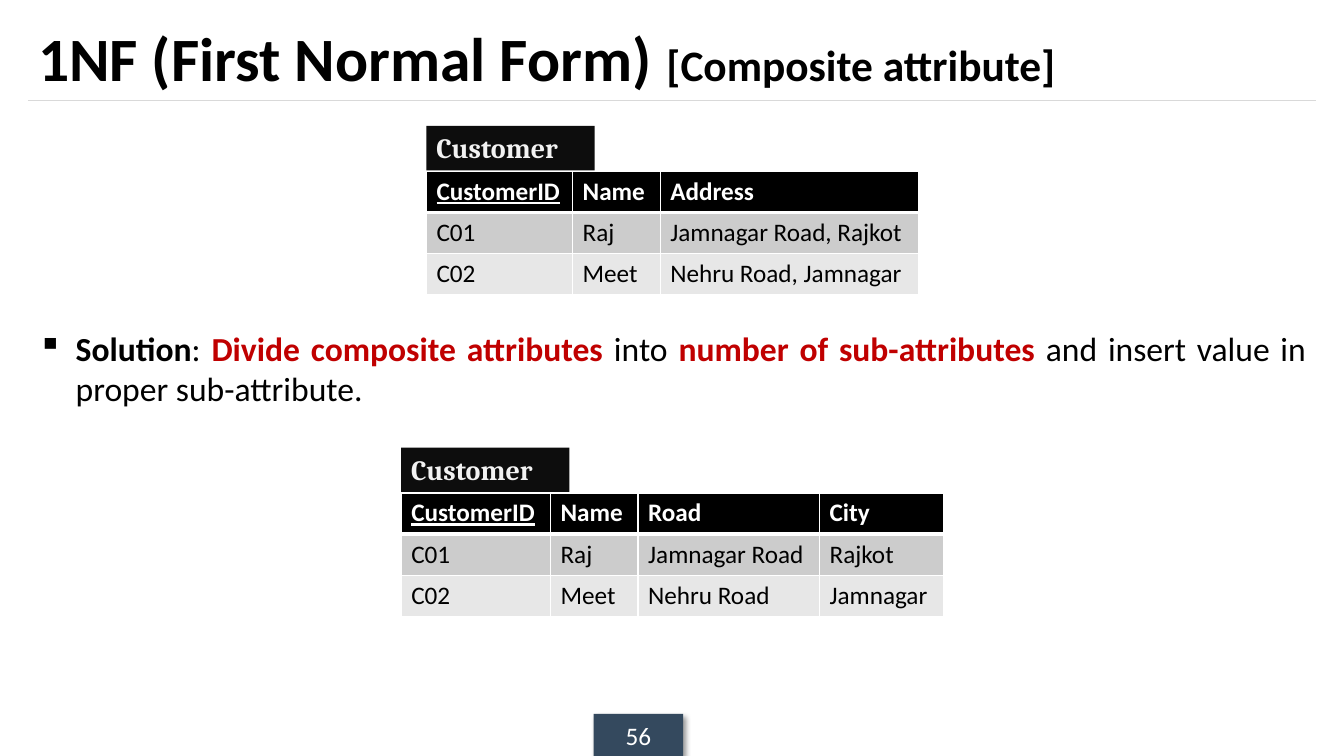
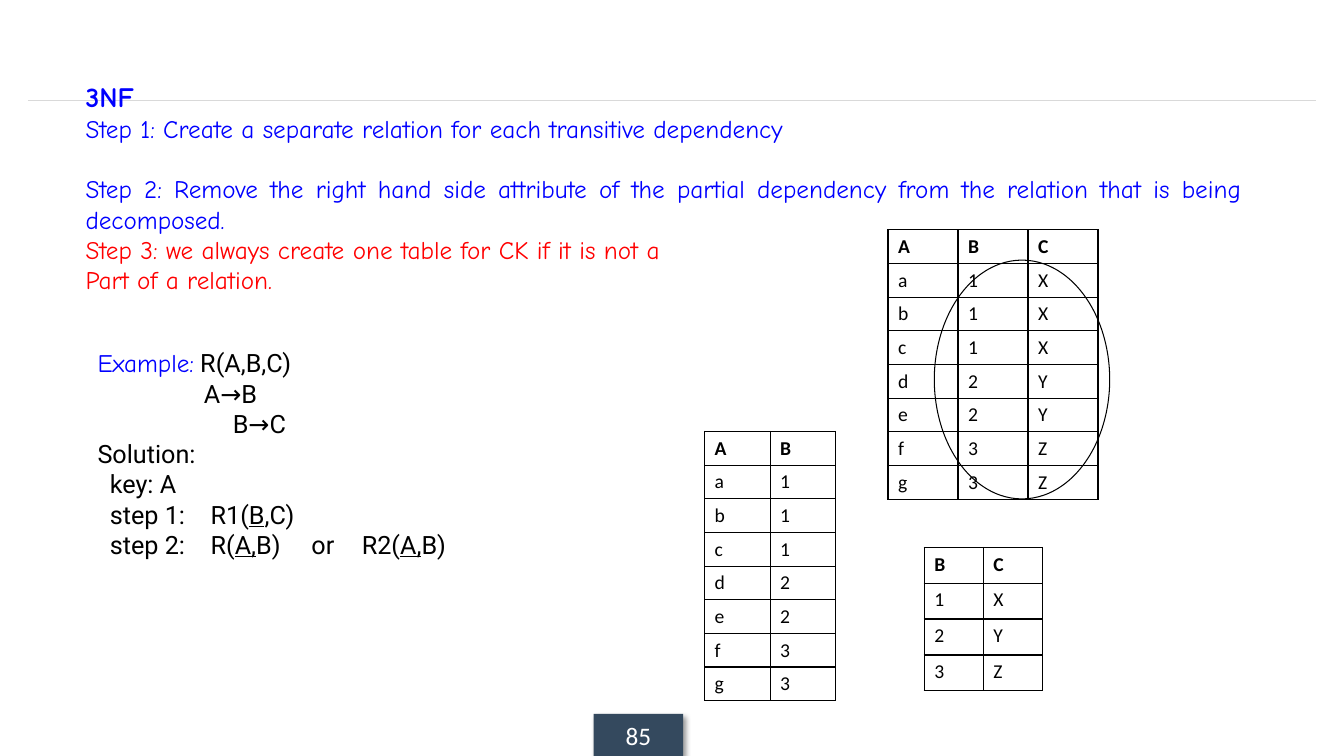
"""Build two slides on the first and third normal forms."""
import pptx
import pptx.dml.color
import pptx.enum.shapes
import pptx.enum.text
import pptx.oxml
import pptx.oxml.ns
import pptx.util
from lxml import etree

Pt = pptx.util.Pt
qn = pptx.oxml.ns.qn
ALIGN = pptx.enum.text.PP_ALIGN
ANCHOR = pptx.enum.text.MSO_ANCHOR
SHAPE = pptx.enum.shapes.MSO_SHAPE
COLORS = {
    "black": "000000", "white": "FFFFFF", "rule": "D9D9D9", "badge": "34495E",
    "label": "0D0D0D", "label text": "F2F2F2", "accent": "C00000",
    "blue": "0000FF", "red": "FF0000", "row odd": "CCCCCC", "row even": "E7E7E7",
}


def rgb(color):
    return pptx.dml.color.RGBColor.from_string(COLORS[color])


def add_element(parent, tag, **attributes):
    values = {key: str(value) for key, value in attributes.items()}
    return etree.SubElement(parent, qn(tab_safe(tag)), values)


def tab_safe(tag):
    return tag if ":" in tag else f"a:{tag}"


class Deck:
    def __init__(self):
        self.deck = pptx.Presentation()
        self.deck.slide_width, self.deck.slide_height = Pt(960), Pt(540)
        self.slide = None

    def start(self, number, title=None):
        layout = self.deck.slide_layouts[5 if title else 6]
        self.slide = self.deck.slides.add_slide(layout)
        self.rule()
        self.badge(number)
        if title:
            heading = self.slide.shapes.title
            heading.left, heading.top = Pt(20), Pt(8.6)
            heading.width, heading.height = Pt(920), Pt(63.4)
            frame = heading.text_frame
            frame.vertical_anchor = ANCHOR.MIDDLE
            frame.auto_size = pptx.enum.text.MSO_AUTO_SIZE.NONE
            self.add_runs(frame.paragraphs[0], title, bold=True)

    def add_runs(self, paragraph, runs, align=ALIGN.LEFT, **base):
        paragraph.alignment = align
        for text, style in runs:
            look = {"size": 18, "font": "Calibri", "color": "black",
                    "bold": False, "underline": False} | base | style
            run = paragraph.add_run()
            run.text = text
            run.font.size = Pt(look["size"])
            run.font.name = look["font"]
            run.font.bold = look["bold"]
            run.font.underline = look["underline"]
            run.font.color.rgb = rgb(look["color"])

    def rule(self):
        line = self.slide.shapes.add_connector(
            pptx.enum.shapes.MSO_CONNECTOR.STRAIGHT, Pt(20), Pt(72), Pt(940), Pt(72))
        line.line.color.rgb = rgb("rule")
        line.line.width = Pt(0.75)
        add_element(line._element.spPr, "a:effectLst")

    def shape(self, kind, box, fill=None, outline=None):
        shape = self.slide.shapes.add_shape(kind, *map(Pt, box))
        shape.shadow.inherit = False
        if fill:
            shape.fill.solid()
            shape.fill.fore_color.rgb = rgb(fill)
        else:
            shape.fill.background()
        if outline:
            shape.line.color.rgb = rgb(outline)
            shape.line.width = Pt(0.75)
        else:
            shape.line.fill.background()
        return shape

    def badge(self, number):
        badge = self.shape(SHAPE.RECTANGLE, (424, 510, 64, 30), "badge")
        shadow = add_element(
            badge._element.spPr.find(qn("a:effectLst")), "a:outerShdw",
            blurRad=Pt(4), dist=Pt(3), dir=45 * 60000, algn="tl", rotWithShape=0)
        tint = add_element(shadow, "a:srgbClr", val=COLORS["black"])
        add_element(tint, "a:alpha", val=40000)
        self.add_runs(badge.text_frame.paragraphs[0], [(number, {})],
                      ALIGN.CENTER, color="white")

    def text(self, box, paragraphs, **base):
        frame = self.slide.shapes.add_textbox(*map(Pt, box)).text_frame
        frame.word_wrap = True
        for index, (runs, layout) in enumerate(paragraphs):
            paragraph = frame.add_paragraph() if index else frame.paragraphs[0]
            if "before" in layout:
                paragraph.space_before = Pt(layout["before"])
            properties = paragraph._p.get_or_add_pPr()
            properties.set("marL", str(Pt(layout.get("indent", 0))))
            properties.set("indent", str(Pt(layout.get("hanging", 0))))
            if "bullet" in layout:
                add_element(properties, "a:buChar", char=layout["bullet"])
            if "tabs" in layout:
                stops = add_element(properties, "a:tabLst")
                for stop in layout["tabs"]:
                    add_element(stops, "a:tab", pos=Pt(stop), algn="l")
            self.add_runs(paragraph, runs, ALIGN.JUSTIFY, **base)

    def border(self, cell, color, bottom):
        properties = cell._tc.get_or_add_tcPr()
        for index, side in enumerate("LRTB"):
            width = Pt(bottom if side == "B" else 1)
            line = add_element(properties, f"a:ln{side}", w=width)
            fill = add_element(line, "a:solidFill")
            add_element(fill, "a:srgbClr", val=COLORS[color])
            properties.insert(index, line)

    def table(self, left, top, widths, row_height, rows, size=14, banded=False):
        grid = self.slide.shapes.add_table(
            len(rows), len(widths), Pt(left), Pt(top),
            Pt(sum(widths)), Pt(row_height * len(rows))).table
        grid.horz_banding = False
        for column, width in zip(grid.columns, widths):
            column.width = Pt(width)
        for r, values in enumerate(rows):
            grid.rows[r].height = Pt(row_height)
            header = r == 0
            for c, value in enumerate(values):
                cell = grid.cell(r, c)
                if banded:
                    cell.fill.solid()
                    band = "row odd" if r % 2 else "row even"
                    cell.fill.fore_color.rgb = rgb("black" if header else band)
                    self.border(cell, "white", 3 if header else 1)
                else:
                    cell.fill.background()
                    self.border(cell, "black", 1)
                self.add_runs(cell.text_frame.paragraphs[0], [(value, {})], size=size,
                              bold=header, underline=banded and header and c == 0,
                              color="white" if banded and header else "black")

    def relation(self, name, left, top, widths, rows):
        self.table(left, top, widths, 29.4, rows, size=18, banded=True)
        label = self.shape(SHAPE.RECTANGLE, (left, top - 32.4, 120.2, 31.7), "label")
        label.text_frame.vertical_anchor = ANCHOR.TOP
        self.add_runs(label.text_frame.paragraphs[0], [(name, {})], size=20,
                      font="Cambria", bold=True, color="label text")


def first_normal_form(deck):
    deck.start("56", [("1NF (First Normal Form) ", {"size": 44}),
                      ("[Composite attribute]", {"size": 31})])
    strong = {"bold": True, "color": "accent"}
    solution = [("Solution", {"bold": True}), (": ", {}),
                ("Divide composite attributes ", strong), ("into ", {}),
                ("number of sub-attributes ", strong),
                ("and insert value in proper sub-attribute.", {})]
    deck.text((20, 230.4, 920, 66),
              [(solution, {"indent": 27, "hanging": -27, "bullet": "▪"})], size=24)
    deck.relation("Customer", 304.6, 122.4, (104.4, 62.6, 184.3), [
        ("CustomerID", "Name", "Address"),
        ("C01", "Raj", "Jamnagar Road, Rajkot"),
        ("C02", "Meet", "Nehru Road, Jamnagar")])
    deck.relation("Customer", 286.6, 352.1, (106.6, 62.6, 129.6, 88.6), [
        ("CustomerID", "Name", "Road", "City"),
        ("C01", "Raj", "Jamnagar Road", "Rajkot"),
        ("C02", "Meet", "Nehru Road", "Jamnagar")])


def third_normal_form(deck):
    deck.start("85")
    red = {"color": "red"}
    deck.text((54, 53.3, 840, 162.7), [
        ([("3NF", {"size": 20, "bold": True})], {}),
        ([("Step 1: Create a separate relation for each transitive dependency", {})], {}),
        ([("Step 2: Remove the right hand side attribute of the partial dependency "
           "from the relation that is being decomposed.", {})], {"before": 21.6}),
        ([("Step 3: we always create one table for CK if it is not a", red)], {}),
        ([("Part of a relation.", red)], {}),
    ], font="Comic Neue", color="blue")

    rows = list(zip("Aabcdefg", "B1112233", "CXXXYYZZ"))
    deck.table(634.3, 164.2, (50,) * 3, 24, rows)
    deck.table(503.3, 308.2, (46.8,) * 2, 24, [row[:2] for row in rows])
    deck.table(660.2, 391, (42.1,) * 2, 25.6, list(zip("B123", "CXYZ")))
    deck.shape(SHAPE.OVAL, (667.4, 185.8, 125.3, 170.6), outline="black")

    key = {"underline": True}
    step = {"indent": 8.8, "tabs": (80.2, 139.5, 165.2)}
    deck.text((62.6, 244.8, 360, 160), [
        ([("Example:", {"font": "Comic Neue", "color": "blue"}), (" R(A,B,C)", {})], {}),
        ([("A→B", {})], {"indent": 76}),
        ([("B→C", {})], {"indent": 96.6}),
        ([("Solution:", {})], {}),
        ([("key: A", {})], {"indent": 8.8}),
        ([("step 1:\tR1(", {}), ("B", key), (",C)", {})], step),
        ([("step 2:\tR(", {}), ("A,", key), ("B)\tor\tR2(", {}),
          ("A,", key), ("B)", {})], step),
    ], font="Roboto")


def main():
    deck = Deck()
    first_normal_form(deck)
    third_normal_form(deck)
    deck.deck.save("out.pptx")


if __name__ == "__main__":
    main()
